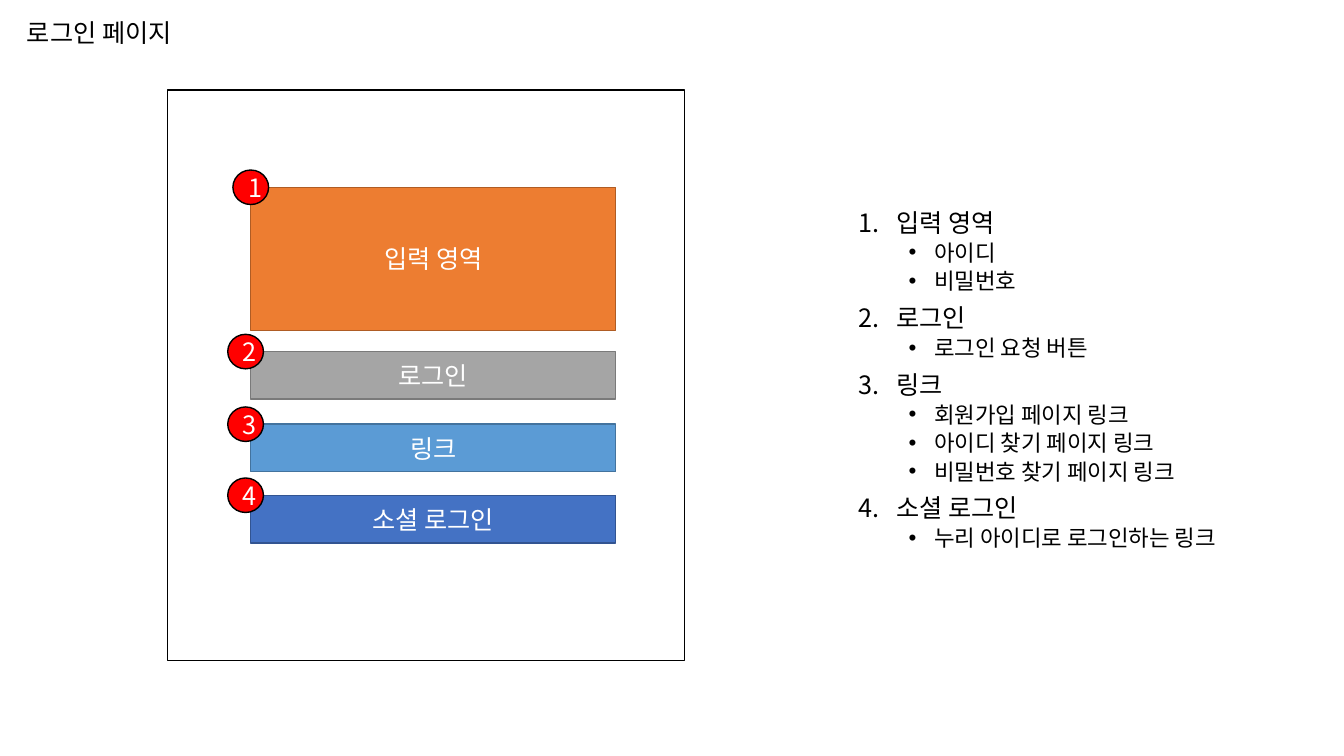
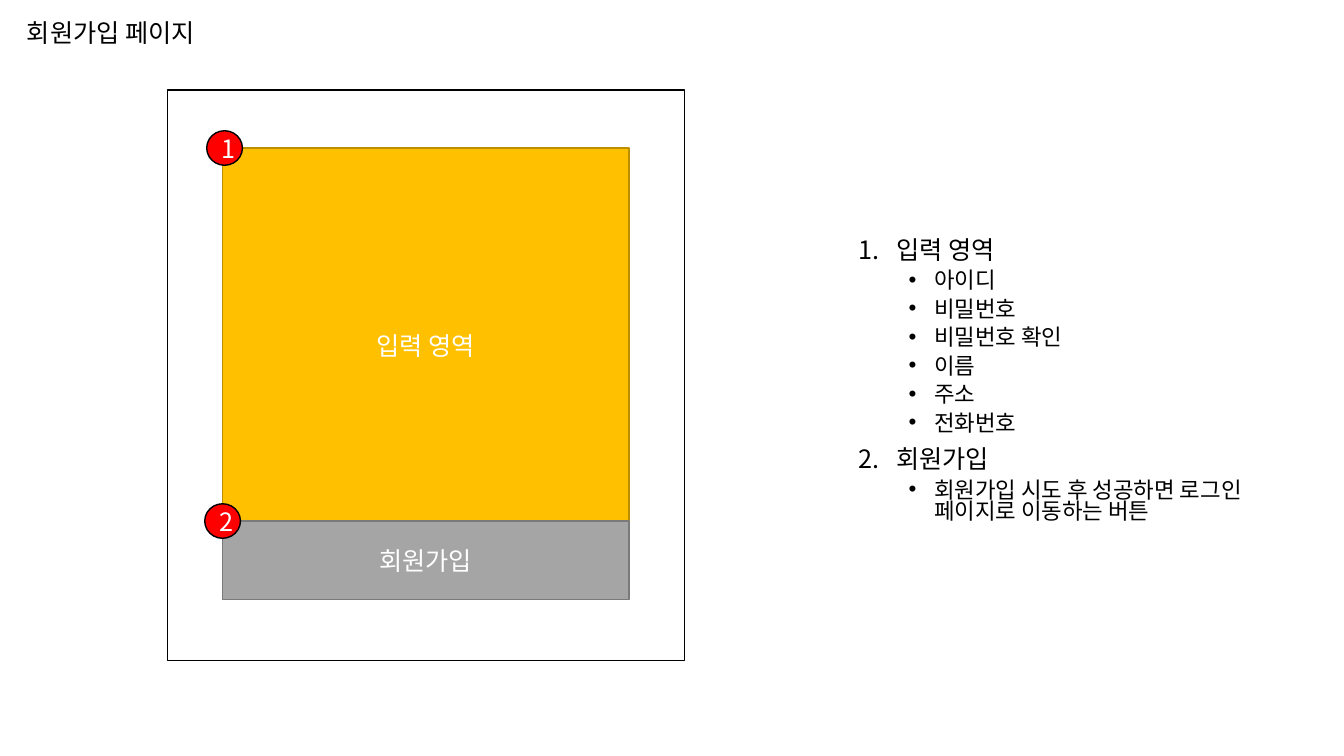
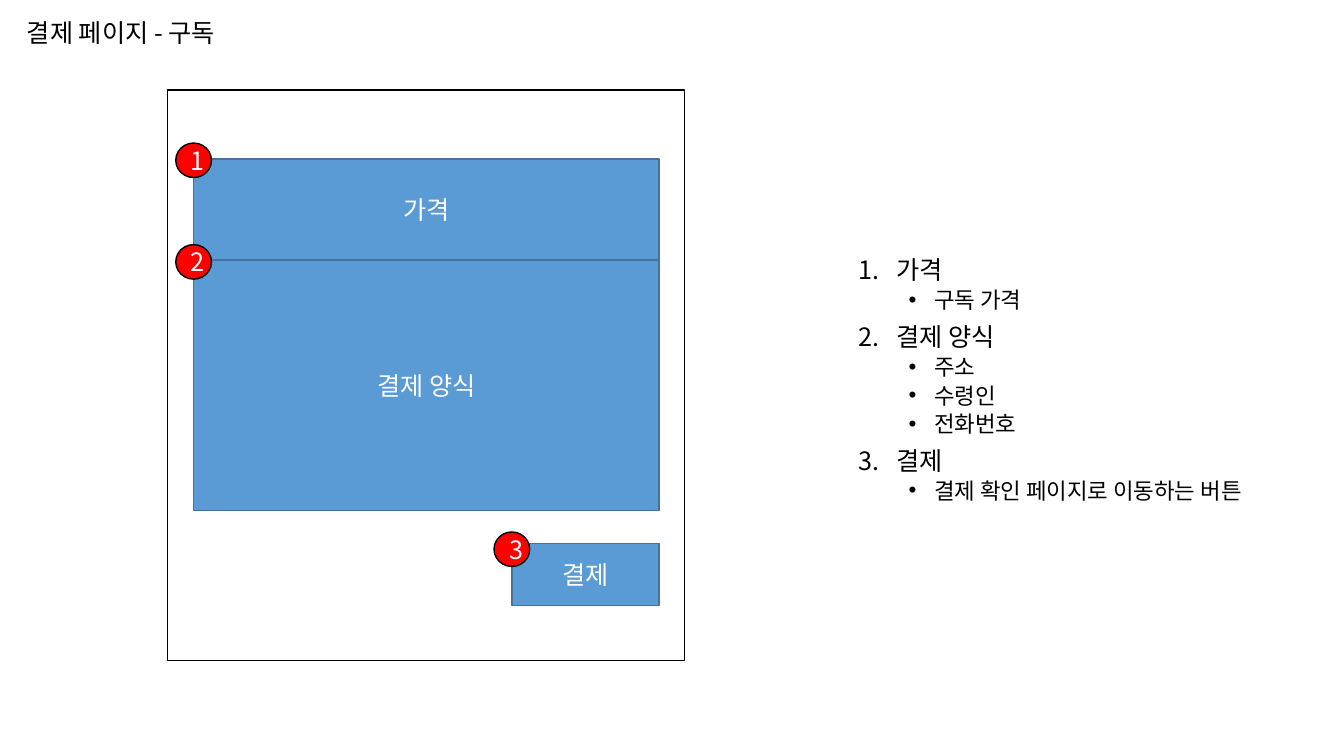
from lxml import etree
from pptx import Presentation
from pptx.dml.color import RGBColor
from pptx.enum.shapes import MSO_SHAPE
from pptx.enum.text import MSO_ANCHOR, PP_ALIGN
from pptx.oxml.ns import qn
from pptx.util import Cm, Pt

RECTANGLE, OVAL = MSO_SHAPE.RECTANGLE, MSO_SHAPE.OVAL
MIDDLE, CENTER = MSO_ANCHOR.MIDDLE, PP_ALIGN.CENTER

BLACK = RGBColor(0x00, 0x00, 0x00)
WHITE = RGBColor(0xFF, 0xFF, 0xFF)
RED = RGBColor(0xFF, 0x00, 0x00)
# Each block colour is a fill with its darker outline
ORANGE = RGBColor(0xED, 0x7D, 0x31), RGBColor(0xAF, 0x5C, 0x24)
GRAY = RGBColor(0xA5, 0xA5, 0xA5), RGBColor(0x7A, 0x7A, 0x7A)
SKY = RGBColor(0x5B, 0x9B, 0xD5), RGBColor(0x43, 0x73, 0x9E)
BLUE = RGBColor(0x44, 0x72, 0xC4), RGBColor(0x32, 0x54, 0x91)
GOLD = RGBColor(0xFF, 0xC0, 0x00), RGBColor(0xBD, 0x8E, 0x00)

FONT = "Noto Sans CJK KR"
BADGE_WIDTH, BADGE_HEIGHT = 0.9, 0.87

# Indents in cm, space before in points
HEADING = {"level": 0, "size": 18, "margin": 0.95, "hanging": 0.95, "before": 10,
           "marker_font": "+mj-lt",
           "marker": ("a:buAutoNum", {"type": "arabicPeriod"})}
DETAIL = {"level": 1, "size": 16, "margin": 1.9, "hanging": 0.64, "before": 5,
          "marker_font": "Arial",
          "marker": ("a:buChar", {"char": "•"})}

# Block: label, colours, (left, top, width, height), badge shift (x, y), in cm
PAGES = [
    {"title": "로그인 페이지",
     "blocks": [
         ("입력 영역", ORANGE, (6.32, 4.72, 9.2, 3.61), (0, 0)),
         ("로그인", GRAY, (6.32, 8.86, 9.2, 1.2), (-0.13, 0)),
         ("링크", SKY, (6.32, 10.69, 9.2, 1.2), (-0.13, 0)),
         ("소셜 로그인", BLUE, (6.32, 12.48, 9.2, 1.2), (-0.13, 0))],
     "notes": [
         ("입력 영역", ["아이디", "비밀번호"]),
         ("로그인", ["로그인 요청 버튼"]),
         ("링크", ["회원가입 페이지 링크", "아이디 찾기 페이지 링크",
                 "비밀번호 찾기 페이지 링크"]),
         ("소셜 로그인", ["누리 아이디로 로그인하는 링크"])]},
    {"title": "회원가입 페이지",
     "blocks": [
         ("입력 영역", GOLD, (5.61, 3.73, 10.24, 9.93), (0.05, 0)),
         ("회원가입", GRAY, (5.61, 13.13, 10.24, 1.98), (0, 0))],
     "notes": [
         ("입력 영역", ["아이디", "비밀번호", "비밀번호 확인", "이름", "주소", "전화번호"]),
         ("회원가입", ["회원가입 시도 후 성공하면 로그인 페이지로 이동하는 버튼"])]},
    {"title": "결제 페이지 - 구독",
     "blocks": [
         ("가격", SKY, (4.88, 4.01, 11.73, 2.54), (0, 0.03)),
         ("결제 양식", SKY, (4.88, 6.55, 11.73, 6.32), (0, 0.05)),
         ("결제", SKY, (12.9, 13.69, 3.71, 1.57), (0, 0.15))],
     "notes": [
         ("가격", ["구독 가격"]),
         ("결제 양식", ["주소", "수령인", "전화번호"]),
         ("결제", ["결제 확인 페이지로 이동하는 버튼"])]},
]


class Wireframe:
    """Deck of page sketches, each with numbered blocks and notes."""

    def __init__(self):
        self.deck = Presentation()
        self.deck.slide_width, self.deck.slide_height = Cm(33.87), Cm(19.05)
        self.slide = None

    def new_page(self):
        self.slide = self.deck.slides.add_slide(self.deck.slide_layouts[6])

    def add_text(self, paragraph, text, color, size=18):
        run = paragraph.add_run()
        run.text = text
        for name, value in {"name": FONT, "size": Pt(size)}.items():
            setattr(run.font, name, value)
        run.font.color.rgb = color
        etree.SubElement(run._r.get_or_add_rPr(), qn("a:ea"), typeface=FONT)

    def text_area(self, *box):
        frame = self.slide.shapes.add_textbox(*map(Cm, box)).text_frame
        frame.word_wrap = True
        frame.vertical_anchor = MIDDLE
        return frame

    def title(self, text):
        paragraph = self.text_area(0.43, 0.25, 11.35, 1.22).paragraphs[0]
        paragraph.line_spacing = 0.9
        self.add_text(paragraph, text, BLACK)

    def outlined(self, kind, box, fill, line, label=""):
        """Draw a preset shape; a fill of None leaves it hollow."""
        shape = self.slide.shapes.add_shape(kind, *map(Cm, box))
        shape.shadow.inherit = False
        if fill is None:
            shape.fill.background()
        else:
            shape.fill.solid()
            shape.fill.fore_color.rgb = fill
        shape.line.color.rgb = line
        shape.line.width = Pt(1)
        if label:
            shape.text_frame.vertical_anchor = MIDDLE
            paragraph = shape.text_frame.paragraphs[0]
            paragraph.alignment = CENTER
            self.add_text(paragraph, label, WHITE)

    def screen(self, blocks):
        """Draw the blocks, the screen border, then a badge on each block corner."""
        for label, (fill, line), box, _ in blocks:
            self.outlined(RECTANGLE, box, fill, line, label)
        self.outlined(RECTANGLE, (4.22, 2.27, 13.03, 14.38), None, BLACK)
        for number, (_, _, (left, top, _, _), (dx, dy)) in enumerate(blocks, 1):
            box = (left + dx - BADGE_WIDTH / 2, top + dy - BADGE_HEIGHT / 2,
                   BADGE_WIDTH, BADGE_HEIGHT)
            self.outlined(OVAL, box, RED, BLACK, str(number))

    def notes(self, sections):
        frame = self.text_area(21.39, 1.3, 11.1, 16.66)
        lines = []
        for heading, details in sections:
            lines.append((heading, HEADING))
            lines += [(detail, DETAIL) for detail in details]
        for index, (text, style) in enumerate(lines):
            paragraph = frame.add_paragraph() if index else frame.paragraphs[0]
            layout = {"level": style["level"], "line_spacing": 0.8,
                      "space_before": Pt(style["before"] if index else 0)}
            for name, value in layout.items():
                setattr(paragraph, name, value)
            properties = paragraph._p.get_or_add_pPr()
            properties.set("marL", str(Cm(style["margin"])))
            properties.set("indent", str(-Cm(style["hanging"])))
            tag, attributes = style["marker"]
            etree.SubElement(properties, qn("a:buFont"), typeface=style["marker_font"])
            etree.SubElement(properties, qn(tag), attributes)
            self.add_text(paragraph, text, BLACK, style["size"])


def main():
    wireframe = Wireframe()
    for page in PAGES:
        wireframe.new_page()
        wireframe.title(page["title"])
        wireframe.notes(page["notes"])
        wireframe.screen(page["blocks"])
    wireframe.deck.save("out.pptx")


if __name__ == "__main__":
    main()
